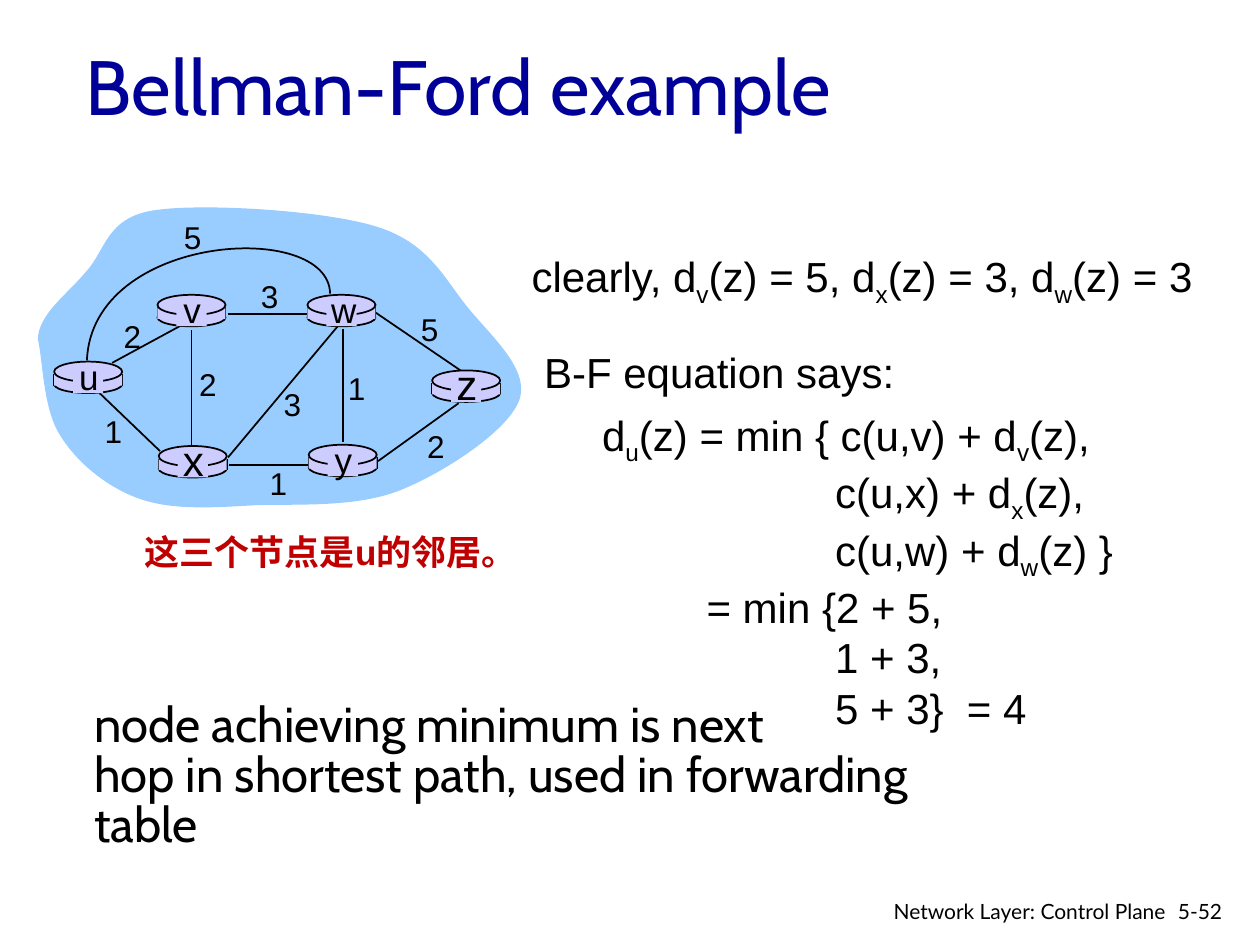
from typing import NamedTuple

from lxml import etree
from pptx import Presentation
from pptx.dml.color import RGBColor
from pptx.enum import shapes, text
from pptx.oxml import ns
from pptx.util import Pt

PX = 9144
NAVY = RGBColor(0x00, 0x00, 0x99)
SKY = RGBColor(0x99, 0xCC, 0xFF)
LILAC = RGBColor(0xCC, 0xCC, 0xFF)
RED = RGBColor(0xC0, 0x00, 0x00)
BLACK = RGBColor(0x00, 0x00, 0x00)
LEFT, CENTER, RIGHT = text.PP_ALIGN.LEFT, text.PP_ALIGN.CENTER, text.PP_ALIGN.RIGHT
OVAL, RECT = shapes.MSO_SHAPE.OVAL, shapes.MSO_SHAPE.RECTANGLE


class Router(NamedTuple):
    name: str
    x: int
    y: int
    size: int = 20


class Link(NamedTuple):
    start: tuple[int, int]
    end: tuple[int, int]
    cost: str
    cost_at: tuple[int, int]


class Line(NamedTuple):
    words: str
    indent: int = 0


ROUTERS = [
    Router("u", 43, 287), Router("x", 126, 354, 24), Router("v", 125, 234),
    Router("w", 244, 234), Router("y", 245, 353), Router("z", 343, 294, 24),
]
LINKS = [
    Link((89, 288), (148, 256), "2", (88, 247)),
    Link((152, 262), (152, 355), "2", (148, 285)),
    Link((127, 358), (79, 312), "1", (73, 322)),
    Link((181, 363), (268, 259), "3", (215, 301)),
    Link((245, 369), (182, 369), "1", (204, 363)),
    Link((272, 261), (272, 351), "1", (266, 288)),
    Link((300, 366), (364, 320), "2", (329, 334)),
    Link((367, 295), (298, 248), "5", (324, 241)),
    Link((244, 249), (181, 249), "3", (197, 215)),
]
CLOUD = [
    (30, 269), (31, 249), (53, 234), (68, 216), (84, 199), (84, 173), (122, 167),
    (161, 161), (258, 167), (299, 180), (341, 193), (353, 222), (372, 245),
    (391, 268), (421, 294), (412, 318), (403, 342), (353, 375), (318, 389),
    (283, 403), (237, 400), (203, 401), (168, 403), (137, 405), (111, 396),
    (85, 387), (61, 367), (48, 346), (34, 325), (34, 285), (30, 269),
]
ARC = [(262, 233), (261, 174), (73, 185), (69, 286)]
EQUATION = [
    Line("d_u(z) = min { c(u,v) + d_v(z),"),
    Line("c(u,x) + d_x(z),", 185),
    Line("c(u,w) + d_w(z) }", 185),
    Line("= min {2 + 5,", 83),
    Line("1 + 3,", 185),
    Line("5 + 3}  = 4", 185),
]


def write(frame, lines: list[Line], size: int, face="Arial", color=BLACK,
          align=LEFT, bold=False, spacing=None) -> None:
    for number, line in enumerate(lines):
        paragraph = frame.add_paragraph() if number else frame.paragraphs[0]
        if line.indent:
            paragraph._p.get_or_add_pPr().set("marL", str(line.indent * PX))
        for name, value in {"alignment": align, "line_spacing": spacing}.items():
            setattr(paragraph, name, value)
        base, *subscripted = line.words.split("_")
        pieces = [(base, False)]
        for piece in subscripted:
            pieces += [(piece[0], True), (piece[1:], False)]
        for words, lowered in pieces:
            run = paragraph.add_run()
            run.text = words
            for name, value in {"size": Pt(size), "name": face, "bold": bold}.items():
                setattr(run.font, name, value)
            run.font.color.rgb = color
            if lowered:
                run.font._element.set("baseline", "-25000")


def add_text(parent, at: tuple[int, int, int, int], lines: list[Line], size: int,
             wrap=False, **style) -> None:
    frame = parent.add_textbox(*(n * PX for n in at)).text_frame
    frame.word_wrap = wrap
    write(frame, lines, size, **style)


def paint(shape, fill=None, outlined=False) -> None:
    shape.shadow.inherit = False
    if fill is None:
        shape.fill.background()
    else:
        shape.fill.solid()
        shape.fill.fore_color.rgb = fill
    if outlined:
        shape.line.color.rgb = BLACK
        shape.line.width = Pt(1)
    else:
        shape.line.fill.background()


def add_line(parent, start: tuple[int, int], end: tuple[int, int]) -> None:
    line = parent.add_connector(shapes.MSO_CONNECTOR.STRAIGHT,
                                *(n * PX for n in start + end))
    line.line.color.rgb = BLACK
    line.line.width = Pt(1)
    etree.SubElement(line._element.spPr, ns.qn("a:effectLst"))


def add_curve(parent, points: list[tuple[int, int]], closed: bool):
    builder = parent.build_freeform(*points[0], scale=1 / PX * PX * PX)
    builder = parent.build_freeform(points[0][0] * PX, points[0][1] * PX)
    builder.add_line_segments([(x * PX, y * PX) for x, y in points[1:]], close=closed)
    shape = builder.convert_to_shape()
    segments = list(shape._element.iter(ns.qn("a:lnTo")))
    for first in range(0, len(segments), 3):
        bend = etree.Element(ns.qn("a:cubicBezTo"))
        segments[first].addprevious(bend)
        for segment in segments[first:first + 3]:
            bend.append(segment[0])
            segment.getparent().remove(segment)
    return shape


def add_router(parent, router: Router) -> None:
    x, y = router.x, router.y

    def part(kind, dx: int, dy: int, width: int, height: int, outlined=False) -> None:
        shape = parent.add_shape(kind, *(n * PX for n in (x + dx, y + dy, width, height)))
        paint(shape, LILAC, outlined)

    part(OVAL, 0, 11, 54, 14, True)
    for side in (x, x + 54):
        add_line(parent, (side, y + 10), (side, y + 19))
    part(RECT, 0, 10, 54, 9)
    part(OVAL, 0, 0, 54, 16, True)
    part(RECT, 15, 2, 24, 23)
    height = 43 if router.size == 20 else 50
    add_text(parent, (x + 9, y + 11 - height // 2, 37, height), [Line(router.name)],
             router.size, align=CENTER)


def add_network(slide) -> None:
    network = slide.shapes.add_group_shape().shapes
    paint(add_curve(network, CLOUD, True), SKY)
    for link in LINKS:
        add_line(network, link.start, link.end)
    for router in ROUTERS:
        add_router(network, router)
    paint(add_curve(network, ARC, False), outlined=True)
    costs = [(link.cost, link.cost_at) for link in LINKS] + [("5", (136, 168))]
    for cost, place in costs:
        add_text(network, (*place, 34, 40), [Line(cost)], 18, align=CENTER)


def main() -> None:
    deck = Presentation()
    deck.slide_width, deck.slide_height = 1000 * PX, 750 * PX
    slide = deck.slides.add_slide(deck.slide_layouts[5])
    title = slide.shapes.title
    for name, value in {"left": 58, "top": 19, "width": 850, "height": 96}.items():
        setattr(title, name, value * PX)
    title.text_frame.vertical_anchor = text.MSO_ANCHOR.MIDDLE
    write(title.text_frame, [Line("Bellman-Ford example")], 44, "Cabin", NAVY)

    add_network(slide)
    board = slide.shapes
    add_text(board, (412, 194, 552, 50),
             [Line("clearly, d_v(z) = 5, d_x(z) = 3, d_w(z) = 3")], 24)
    add_text(board, (468, 320, 427, 250), EQUATION, 24, wrap=True)
    add_text(board, (65, 553, 740, 90),
             [Line("node achieving minimum is next"),
              Line("hop in shortest path, used in forwarding table")],
             28, wrap=True, face="Cabin", spacing=0.85)
    add_text(board, (422, 270, 298, 50), [Line("B-F equation says:")], 24)
    add_text(board, (925, 708, 60, 30), [Line("5-52")], 12, wrap=True, face="Lato")
    add_text(board, (697, 708, 238, 26), [Line("Network Layer: Control Plane")], 12,
             wrap=True, face="Lato", align=RIGHT)
    add_text(board, (105, 416, 331, 44), [Line("这三个节点是u的邻居。")], 20,
             wrap=True, color=RED, bold=True)
    deck.save("out.pptx")


if __name__ == "__main__":
    main()
